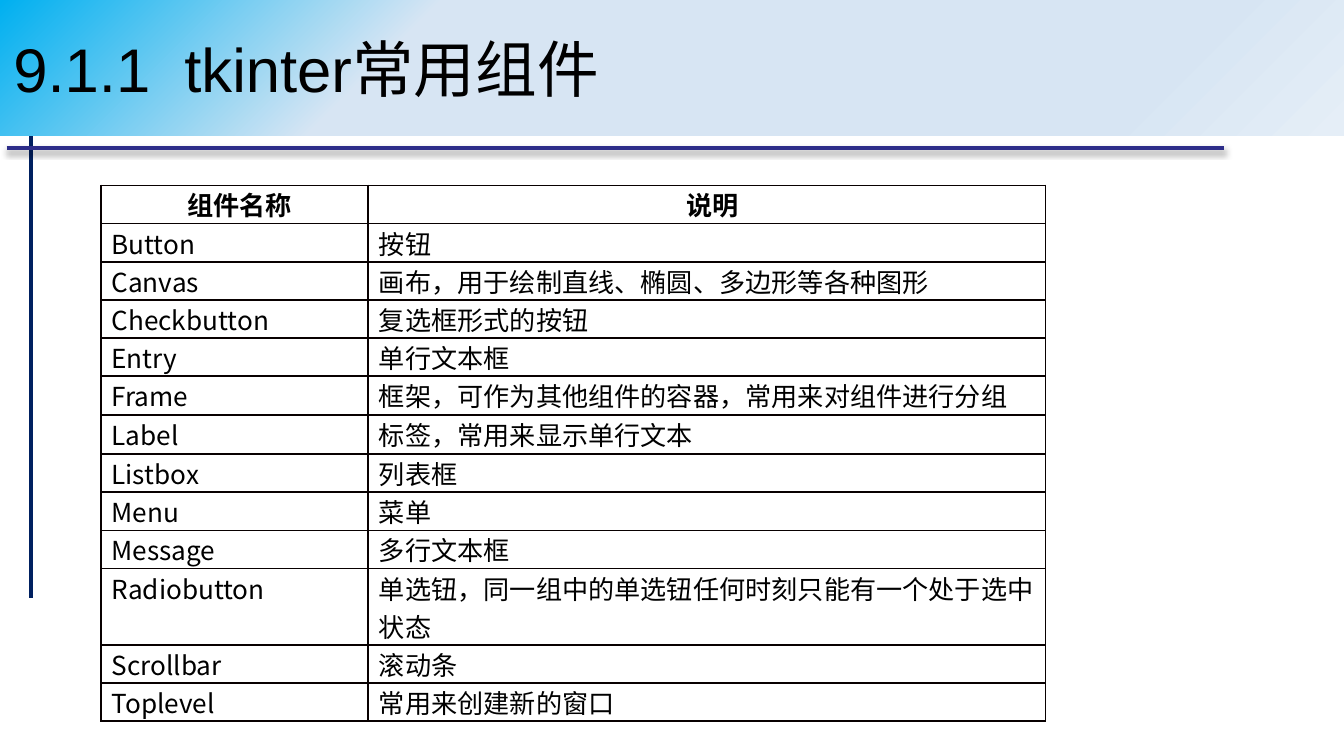
from lxml import etree
from pptx import Presentation
from pptx.dml.color import RGBColor
from pptx.enum import shapes, text
from pptx.oxml import parse_xml
from pptx.oxml.ns import nsdecls, qn
from pptx.util import Inches, Pt

BLACK = RGBColor(0x00, 0x00, 0x00)
NAVY = RGBColor(0x00, 0x20, 0x60)
INDIGO = RGBColor(0x2D, 0x2D, 0x89)
BORDER = RGBColor(0x08, 0x00, 0x00)
SKY = RGBColor(0x00, 0xB0, 0xF0)
PALE = RGBColor(0xD7, 0xE5, 0xF3)
MIST = RGBColor(0xE5, 0xEE, 0xF7)
LATIN, CJK = "Arial", "Noto Sans CJK SC"

HEADER = ("组件名称", "说明")
WIDGETS = [
    ("Button", "按钮"),
    ("Canvas", "画布，用于绘制直线、椭圆、多边形等各种图形"),
    ("Checkbutton", "复选框形式的按钮"),
    ("Entry", "单行文本框"),
    ("Frame", "框架，可作为其他组件的容器，常用来对组件进行分组"),
    ("Label", "标签，常用来显示单行文本"),
    ("Listbox", "列表框"),
    ("Menu", "菜单"),
    ("Message", "多行文本框"),
    ("Radiobutton", "单选钮，同一组中的单选钮任何时刻只能有一个处于选中状态"),
    ("Scrollbar", "滚动条"),
    ("Toplevel", "常用来创建新的窗口"),
]
TALL_ROWS = ("Frame", "Label")


def set_attrs(obj, **values):
    for name, value in values.items():
        setattr(obj, name, value)


def write(tf, content, latin, size, bold=False, align=text.PP_ALIGN.LEFT):
    p = tf.paragraphs[0]
    p.alignment = align
    r = p.add_run()
    r.text = content
    set_attrs(r.font, name=latin, size=Pt(size), bold=bold)
    r.font.color.rgb = BLACK
    r.font._element.find(qn("a:latin")).addnext(
        parse_xml(f'<a:ea {nsdecls("a")} typeface="{CJK}"/>'))


def add_rule(s, x1, y1, x2, y2, color, shadow=""):
    line = s.shapes.add_connector(
        shapes.MSO_CONNECTOR.STRAIGHT, *map(Inches, (x1, y1, x2, y2)))
    line.line.color.rgb = color
    line.line.width = Pt(2.25)
    line._element.spPr.append(
        parse_xml(f'<a:effectLst {nsdecls("a")}>{shadow}</a:effectLst>'))


def add_frame_rules(s, left, top, right, bottom):
    """Crossing rules: one down the left margin, one below the title."""
    add_rule(s, left + 0.18, top, left + 0.18, bottom, NAVY)
    shadow = (f'<a:outerShdw blurRad="{Pt(3.1)}" dist="{Pt(1.8)}" dir="5400000"'
              f' rotWithShape="0"><a:srgbClr val="{BLACK}"><a:alpha val="35000"/>'
              '</a:srgbClr></a:outerShdw>')
    add_rule(s, left, top + 0.29, right, top + 0.29, INDIGO, shadow)


def fill_title(s, content, left, top, width, height):
    sp = s.shapes.title
    set_attrs(sp, left=Inches(left), top=Inches(top),
              width=Inches(width), height=Inches(height))
    stops = "".join(
        f'<a:gs pos="{pos * 1000}"><a:srgbClr val="{color}"/></a:gs>'
        for pos, color in ((0, SKY), (30, PALE), (83, PALE), (100, MIST)))
    sp._element.spPr.append(parse_xml(
        f'<a:gradFill {nsdecls("a")} rotWithShape="1"><a:gsLst>{stops}</a:gsLst>'
        '<a:path path="circle"><a:fillToRect r="100000" b="100000"/></a:path>'
        '</a:gradFill>'))
    tf = sp.text_frame
    set_attrs(tf, word_wrap=True, auto_size=text.MSO_AUTO_SIZE.NONE,
              vertical_anchor=text.MSO_ANCHOR.MIDDLE,
              margin_left=Inches(0.1), margin_right=Inches(0.1))
    write(tf, content, LATIN, 33)
    # The title band covers the top of the vertical rule.
    s.shapes._spTree.append(sp._element)


def format_cell(cell):
    set_attrs(cell, margin_left=Inches(0.08), margin_right=0, margin_top=0,
              margin_bottom=0, vertical_anchor=text.MSO_ANCHOR.TOP)
    tc_pr = cell._tc.get_or_add_tcPr()
    for side in ("lnL", "lnR", "lnT", "lnB"):
        ln = etree.SubElement(tc_pr, qn(f"a:{side}"), w=str(Pt(1)))
        solid = etree.SubElement(ln, qn("a:solidFill"))
        etree.SubElement(solid, qn("a:srgbClr"), val=str(BORDER))
    cell.fill.background()


def add_widget_table(s, left, top, width, row_height):
    rows = [HEADER, *WIDGETS]
    frame = s.shapes.add_table(
        len(rows), len(HEADER), Inches(left), Inches(top),
        Inches(width), Inches(row_height * len(rows)))
    table = frame.table
    set_attrs(table, first_row=False, horz_banding=False)
    name_width = 1.99
    table.columns[0].width = Inches(name_width)
    table.columns[1].width = Inches(width - name_width)
    for i, row in enumerate(rows):
        extra = 0.01 if row[0] in TALL_ROWS else 0
        table.rows[i].height = Inches(row_height + extra)
        align = text.PP_ALIGN.LEFT if i else text.PP_ALIGN.CENTER
        for j, content in enumerate(row):
            cell = table.cell(i, j)
            format_cell(cell)
            write(cell.text_frame, content, CJK, 14, bold=i == 0, align=align)


def main():
    prs = Presentation()
    width = Inches(10)
    set_attrs(prs, slide_width=width, slide_height=width * 9 // 16)
    s = prs.slides.add_slide(prs.slide_layouts[5])
    add_frame_rules(s, 0.05, 0.81, 9.11, 4.45)
    fill_title(s, "9.1.1  tkinter常用组件", 0, 0, 10, 1.01)
    add_widget_table(s, 0.75, 1.38, 7.03, 0.28)
    prs.save("out.pptx")


if __name__ == "__main__":
    main()
